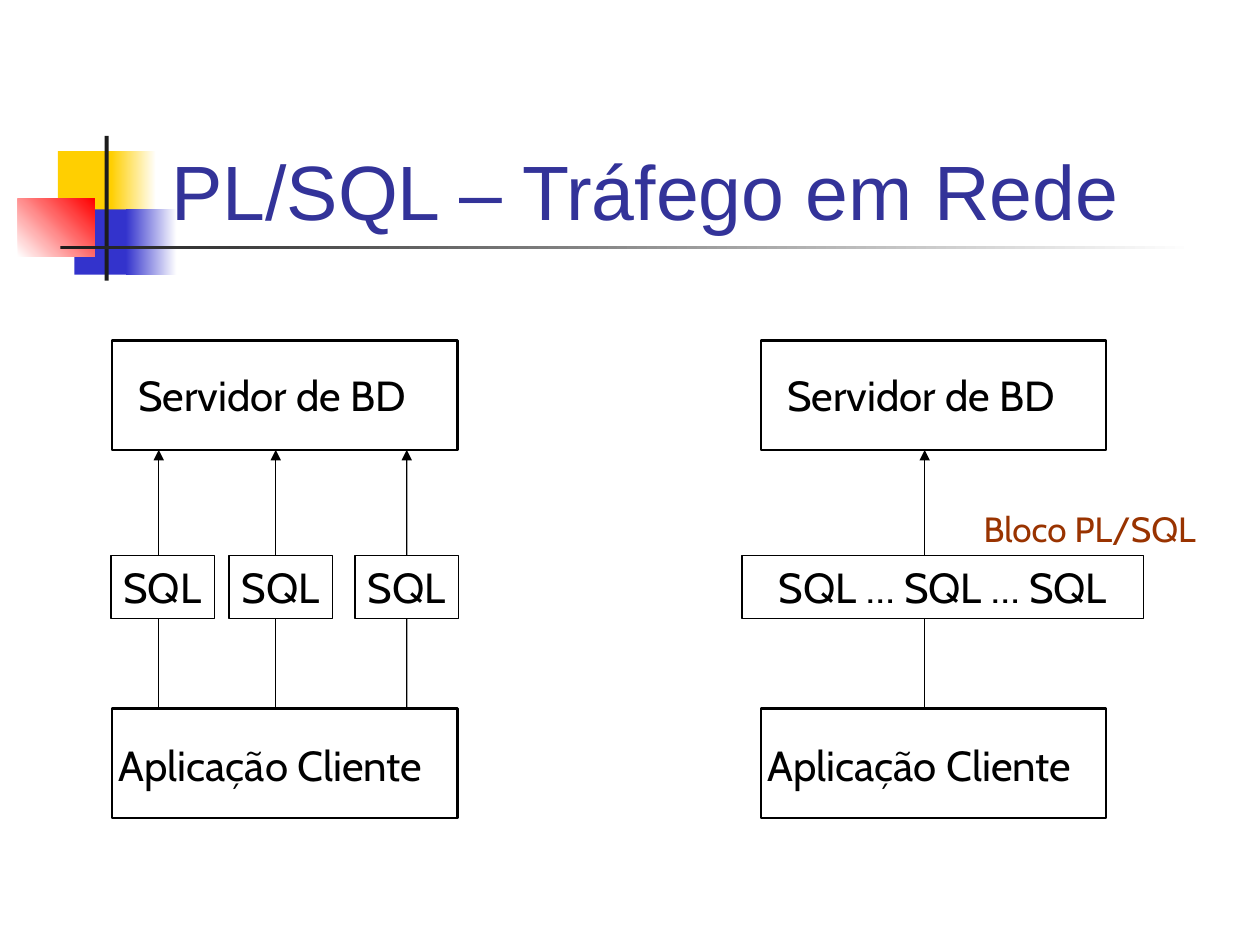
"""Builds a slide comparing the network traffic of single SQL calls and a PL/SQL block."""
import pptx
import pptx.util
import pptx.dml.color
import pptx.enum.shapes
import pptx.enum.text
import pptx.oxml
import pptx.oxml.ns

Cm = pptx.util.Cm
Pt = pptx.util.Pt
RGBColor = pptx.dml.color.RGBColor
Align = pptx.enum.text.PP_ALIGN
Anchor = pptx.enum.text.MSO_ANCHOR

BLACK = RGBColor(0x00, 0x00, 0x00)
WHITE = RGBColor(0xFF, 0xFF, 0xFF)
DARK = RGBColor(0x1C, 0x1C, 0x1C)
GOLD = RGBColor(0xFF, 0xCF, 0x01)
BLUE = RGBColor(0x33, 0x33, 0xCC)
RED = RGBColor(0xFF, 0x00, 0x00)
NAVY = RGBColor(0x33, 0x33, 0x99)
BROWN = RGBColor(0x99, 0x33, 0x00)

ROOF, BASE = 9.07, 14.28
ROW, TALL = 11.2, 1.27


def add_rect(slide, x, y, w, h):
    kind = pptx.enum.shapes.MSO_SHAPE.RECTANGLE
    rect = slide.shapes.add_shape(kind, Cm(x), Cm(y), Cm(w), Cm(h))
    rect.shadow.inherit = False
    return rect


def add_patch(slide, x, y, w, h, start, end=None, angle=0):
    patch = add_rect(slide, x, y, w, h)
    patch.line.fill.background()
    if end is None:
        patch.fill.solid()
        patch.fill.fore_color.rgb = start
        return
    patch.fill.gradient()
    patch.fill.gradient_angle = angle
    for stop, color in zip(patch.fill.gradient_stops, (start, end)):
        stop.color.rgb = color


def add_frame(slide, x, y, w, h, width):
    frame = add_rect(slide, x, y, w, h)
    frame.fill.background()
    frame.line.color.rgb = BLACK
    frame.line.width = Pt(width)
    return frame


def write(shape, text, size=24, color=BLACK, align=Align.LEFT, wrap=False):
    frame = shape.text_frame
    frame.word_wrap = wrap
    frame.auto_size = pptx.enum.text.MSO_AUTO_SIZE.SHAPE_TO_FIT_TEXT
    frame.vertical_anchor = Anchor.TOP
    para = frame.paragraphs[0]
    para.text = text
    para.alignment = align
    para.font.name = "Cabin"
    para.font.size = Pt(size)
    para.font.color.rgb = color


def add_label(slide, x, y, w, h, text, **style):
    write(slide.shapes.add_textbox(Cm(x), Cm(y), Cm(w), Cm(h)), text, **style)


def add_line(slide, x, start, end, arrow=False):
    kind = pptx.enum.shapes.MSO_CONNECTOR.STRAIGHT
    line = slide.shapes.add_connector(kind, Cm(x), Cm(start), Cm(x), Cm(end))
    line.line.color.rgb = BLACK
    line.line.width = Pt(0.75)
    if arrow:
        tail = pptx.oxml.parse_xml(
            f'<a:tailEnd {pptx.oxml.ns.nsdecls("a")} type="triangle"/>')
        line.line._get_or_add_ln().append(tail)
    line._element.spPr.append(
        pptx.oxml.parse_xml(f'<a:effectLst {pptx.oxml.ns.nsdecls("a")}/>'))
    return line


def add_ends(slide, x):
    for y in (ROOF - 2.21, BASE):
        add_frame(slide, x, y, 6.96, 2.21, 1.5)
    add_label(slide, x + 0.28, 7.32, 6.43, TALL, "Servidor de BD")
    add_label(slide, x - 0.12, 14.78, 7.26, TALL, "Aplicação Cliente")


def add_call(slide, x, w, text, axis, **style):
    box = add_frame(slide, x, ROW, w, TALL, 0.75)
    write(box, text, **style)
    rise = add_line(slide, axis, ROW, ROOF, arrow=True)
    drop = add_line(slide, axis, ROW + TALL, BASE)
    if abs(x + w / 2 - axis) < 0.01:
        rise.begin_connect(box, 0)
        drop.begin_connect(box, 2)


def add_decor(slide):
    add_patch(slide, 1.17, 3.05, 1.22, 1.32, GOLD)
    add_patch(slide, 2.24, 3.05, 0.91, 1.32, GOLD, WHITE)
    add_patch(slide, 1.5, 4.22, 1.17, 1.32, BLUE)
    add_patch(slide, 2.54, 4.22, 1.02, 1.32, BLUE, WHITE)
    add_patch(slide, 0.36, 4.01, 1.55, 1.17, WHITE, RED, angle=45)
    add_patch(slide, 2.11, 2.74, 0.08, 2.92, DARK)
    add_patch(slide, 1.22, 4.95, 22.86, 0.08, DARK, WHITE)


def set_title(slide, text):
    title = slide.shapes.title
    title.left, title.top = Cm(3.2), Cm(1.7)
    title.width, title.height = Cm(21.64), Cm(3.18)
    title.text_frame.vertical_anchor = Anchor.BOTTOM
    para = title.text_frame.paragraphs[0]
    para.text = text
    para.alignment = Align.LEFT
    para.font.name = "Arial"
    para.font.size = Pt(44)
    para.font.color.rgb = NAVY


def main():
    deck = pptx.Presentation()
    deck.slide_width, deck.slide_height = Cm(25.4), Cm(19.05)
    slide = deck.slides.add_slide(deck.slide_layouts[5])
    add_decor(slide)
    set_title(slide, "PL/SQL – Tráfego em Rede")
    add_ends(slide, 2.26)
    for x, axis in ((2.24, 3.2), (4.62, 5.56), (7.16, 8.2)):
        add_call(slide, x, 2.08, "SQL", axis)
    add_ends(slide, 15.34)
    add_call(slide, 14.96, 8.1, "SQL … SQL … SQL", 18.64,
             align=Align.CENTER, wrap=True)
    add_label(slide, 19.58, 10.11, 4.9, 1.12, "Bloco PL/SQL", size=20, color=BROWN)
    deck.save("out.pptx")


if __name__ == "__main__":
    main()
